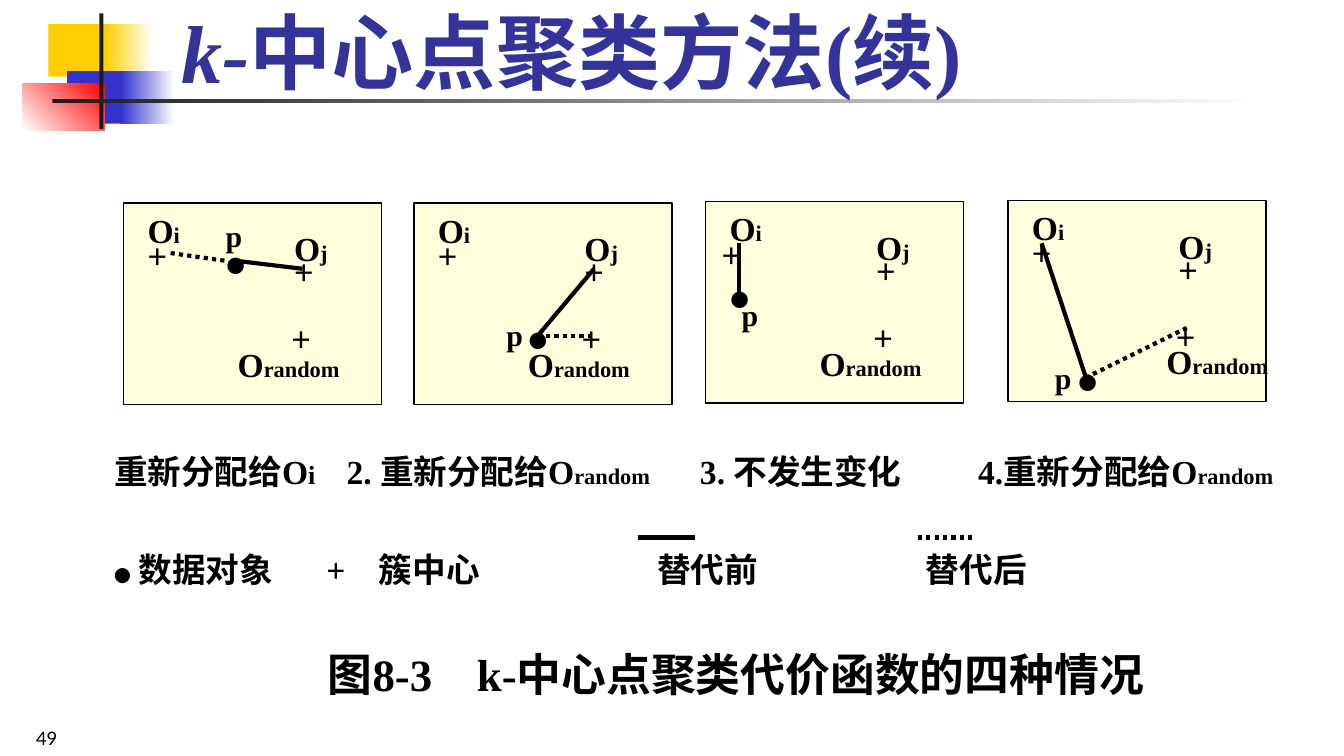
from dataclasses import dataclass

from lxml.etree import SubElement
from pptx import Presentation
from pptx.dml.color import RGBColor
from pptx.enum.dml import MSO_LINE
from pptx.enum.shapes import MSO_CONNECTOR, MSO_SHAPE
from pptx.enum.text import MSO_ANCHOR
from pptx.oxml.ns import qn
from pptx.util import Inches, Pt


@dataclass(frozen=True)
class Theme:
    serif: str = "Times New Roman"
    sans: str = "Lato"
    ink: str = "000000"
    title: str = "333399"
    panel: str = "FEFFDC"
    yellow: str = "FFCF01"
    blue: str = "3333CC"
    red: str = "FF0000"
    bar: str = "1C1C1C"
    white: str = "FFFFFF"
    title_size: float = 44
    caption_size: float = 24
    body_size: float = 18
    point_size: float = 16
    index_size: float = 14
    small_size: float = 12
    number_size: float = 9.9
    bullet_size: float = 9


def add_paragraph_text(para, spans, *, font, color, bold=False,
                       before=0, spacing=None, tabs=()):
    """Fill a paragraph with (text, size, italic) spans."""
    if tabs:
        tab_list = SubElement(para._p.get_or_add_pPr(), qn("a:tabLst"))
        for stop in tabs:
            SubElement(tab_list, qn("a:tab"), pos=str(Inches(stop)), algn="l")
    if before:
        para.space_before = Pt(before)
    if spacing:
        para.line_spacing = spacing
    for text, size, *italic in spans:
        span = para.add_run()
        span.text = text
        span.font.name = font
        span.font.size = Pt(size)
        span.font.bold = bold
        span.font.italic = bool(italic and italic[0])
        span.font.color.rgb = RGBColor.from_string(color)


class SlideBuilder:
    def __init__(self, page, theme):
        self.page = page
        self.theme = theme

    def rectangle(self, left, top, width, height, fill, fade=None, angle=0, outlined=False):
        shape = self.page.shapes.add_shape(
            MSO_SHAPE.RECTANGLE, Inches(left), Inches(top), Inches(width), Inches(height))
        shape.shadow.inherit = False
        if fade:
            shape.fill.gradient()
            shape.fill.gradient_angle = angle
            for stop, color, position in zip(shape.fill.gradient_stops, (fill, fade), (0, 1)):
                stop.color.rgb = RGBColor.from_string(color)
                stop.position = position
        else:
            shape.fill.solid()
            shape.fill.fore_color.rgb = RGBColor.from_string(fill)
        if outlined:
            shape.line.color.rgb = RGBColor.from_string(self.theme.ink)
            shape.line.width = Pt(0.75)
        else:
            shape.line.fill.background()

    def text(self, left, top, width, height, paragraphs, anchor=MSO_ANCHOR.TOP, **style):
        """Each paragraph is (spans, own format)."""
        box = self.page.shapes.add_textbox(
            Inches(left), Inches(top), Inches(width), Inches(height))
        frame = box.text_frame
        frame.word_wrap = True
        frame.vertical_anchor = anchor
        base = {"font": self.theme.serif, "color": self.theme.ink, **style}
        for index, (spans, own) in enumerate(paragraphs):
            para = frame.add_paragraph() if index else frame.paragraphs[0]
            add_paragraph_text(para, spans, **{**base, **own})

    def mark(self, symbol, left, top, width=0.35):
        self.text(left, top, width, 0.4, [([(symbol, self.theme.body_size)], {})],
                  font=self.theme.sans)

    def center_name(self, index, left, top, width=0.5):
        spans = [("O", self.theme.body_size), (index, self.theme.small_size)]
        self.text(left, top, width, 0.4, [(spans, {})], bold=True)

    def line(self, start, end, dotted=False):
        line = self.page.shapes.add_connector(
            MSO_CONNECTOR.STRAIGHT, *(Inches(value) for value in (*start, *end)))
        line.line.color.rgb = RGBColor.from_string(self.theme.ink)
        line.line.width = Pt(2.25)
        if dotted:
            line.line.dash_style = MSO_LINE.ROUND_DOT
        SubElement(line._element.spPr, qn("a:effectLst"))

    def case(self, left, top, dot, point, links, first_plus=0.08, random_left=0.75):
        """One reassignment case; every offset is from the panel corner."""
        self.rectangle(left, top, 1.92, 1.5, self.theme.panel, outlined=True)
        for x, y in ((first_plus, 0.19), (1.17, 0.31), (1.15, 0.81)):
            self.mark("+", left + x, top + y)
        self.mark("●", left + dot[0], top + dot[1], 0.42)
        self.center_name("random", left + random_left, top + 1, 1.17)
        self.center_name("i", left + 0.08, top)
        self.center_name("j", left + 1.17, top + 0.14)
        self.text(left + point[0], top + point[1], 0.42, 0.37,
                  [([("p", self.theme.point_size)], {})], bold=True)
        for start, end, dotted in links:
            self.line((left + start[0], top + start[1]), (left + end[0], top + end[1]), dotted)


def main():
    theme = Theme()
    deck = Presentation()
    # Widescreen, 16 to 9
    deck.slide_width, deck.slide_height = Inches(10), Inches(10 * 9 / 16)
    page = deck.slides.add_slide(deck.slide_layouts[6])
    builder = SlideBuilder(page, theme)

    # Corner ornament and title rule
    builder.rectangle(0.36, 0.18, 0.48, 0.39, theme.yellow)
    builder.rectangle(0.78, 0.18, 0.36, 0.39, theme.yellow, theme.white)
    builder.rectangle(0.5, 0.53, 0.46, 0.39, theme.blue)
    builder.rectangle(0.9, 0.53, 0.4, 0.39, theme.blue, theme.white)
    builder.rectangle(0.17, 0.62, 0.61, 0.35, theme.white, theme.red, angle=45)
    builder.rectangle(0.74, 0.1, 0.03, 0.86, theme.bar)
    builder.rectangle(0.39, 0.74, 9, 0.03, theme.bar, theme.white)

    # Title
    title = [("k-", theme.title_size, True), ("中心点聚类方法(续)", theme.title_size)]
    builder.text(1.25, 0.04, 8.52, 0.75, [(title, {})], MSO_ANCHOR.BOTTOM,
                 color=theme.title, bold=True)

    # Case names, legend and figure caption
    body, small = theme.body_size, theme.small_size
    case_names = [("重新分配给O", body), ("i", theme.index_size),
                  ("\t2. 重新分配给O", body), ("random", small),
                  ("\t3. 不发生变化\t4.重新分配给O", body), ("random", small)]
    legend = [("●", theme.bullet_size),
              (" 数据对象\t+\t簇中心\t替代前\t替代后", body)]
    caption = [("\t图8-3\tk-中心点聚类代价函数的四种情况", theme.caption_size)]
    builder.text(0.75, 3.31, 9.25, 2, [
        (case_names, {"tabs": (1.73, 4.36, 6.43)}),
        (legend, {"tabs": (1.58, 1.97, 4.04, 6.04), "before": 30.7}),
        (caption, {"tabs": (1.59, 2.7), "before": 30.7}),
    ], bold=True)

    # Four cases: links are (start, end, dotted)
    builder.case(0.92, 1.51, dot=(0.66, 0.25), point=(0.66, 0.06), links=[
        ((0.75, 0.43), (0.33, 0.37), True), ((0.83, 0.43), (1.33, 0.49), False)])
    builder.case(3.08, 1.51, dot=(0.75, 0.81), point=(0.59, 0.8), links=[
        ((1.34, 0.49), (0.92, 0.99), False), ((0.92, 0.99), (1.34, 0.99), True)])
    builder.case(5.25, 1.5, dot=(0.08, 0.51), point=(0.17, 0.66), first_plus=0.02, links=[
        ((0.25, 0.69), (0.25, 0.31), False)])
    builder.case(7.5, 1.49, dot=(0.42, 1.14), point=(0.25, 1.14), random_left=1.08, links=[
        ((0.25, 0.32), (0.58, 1.32), False), ((1.33, 0.95), (0.58, 1.32), True)])

    # Legend lines: before and after replacement
    builder.line((4.75, 4), (5.17, 4))
    builder.line((6.83, 4), (7.25, 4), dotted=True)

    # Page number
    builder.text(0.17, 5.31, 2.75, 0.31, [([("49", theme.number_size)], {})],
                 MSO_ANCHOR.BOTTOM, font=theme.sans, spacing=0.8)

    deck.save("out.pptx")


if __name__ == "__main__":
    main()
